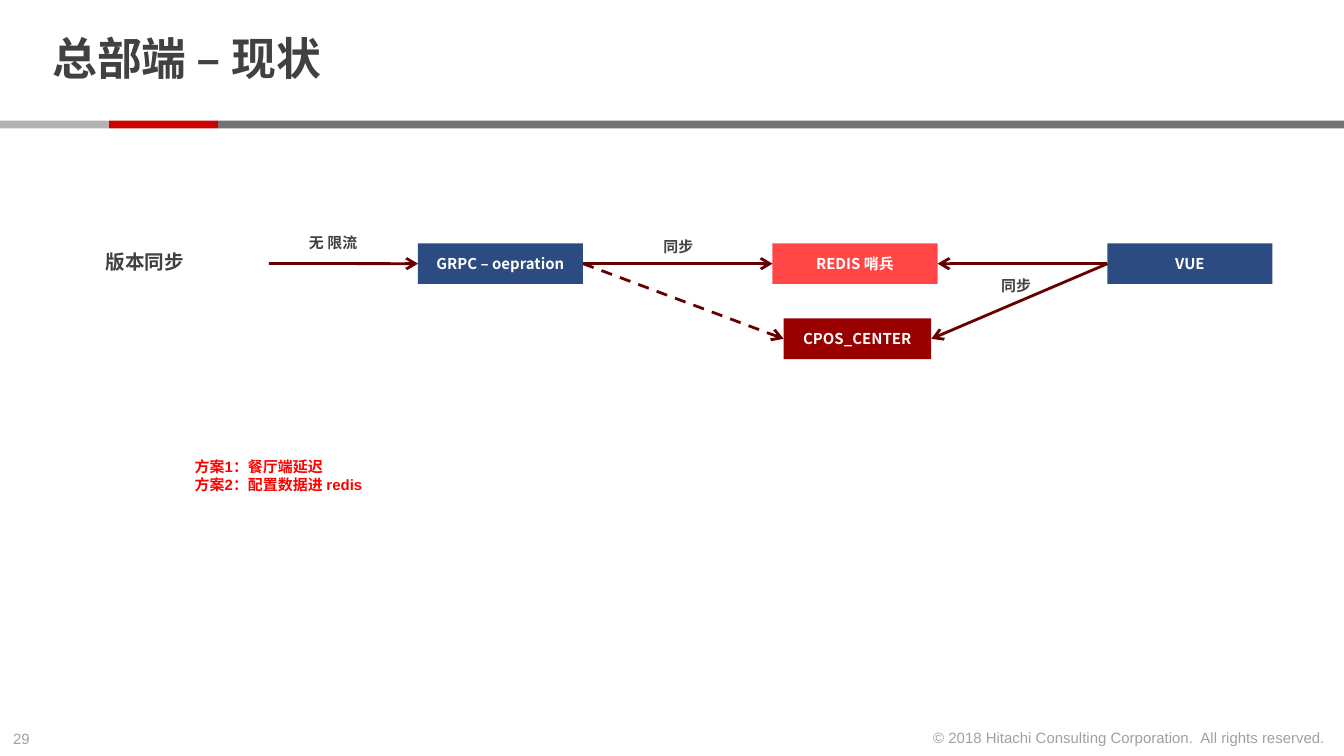
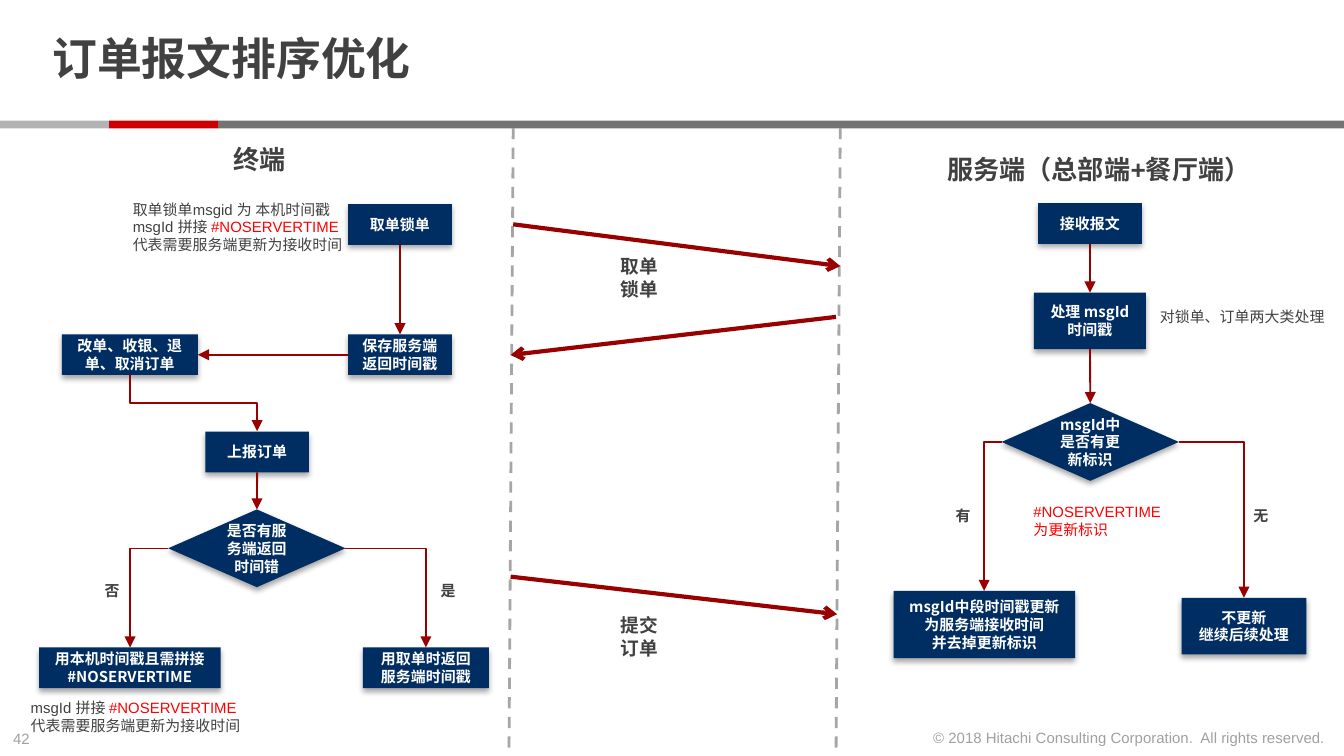
"""Build two slides: the head office sync flow and the order message sorting flow."""
from lxml.etree import SubElement
from pptx import Presentation
from pptx.dml.color import RGBColor
from pptx.enum.dml import MSO_LINE
from pptx.enum.shapes import MSO_CONNECTOR, MSO_SHAPE
from pptx.enum.text import MSO_ANCHOR, MSO_AUTO_SIZE, PP_ALIGN
from pptx.oxml.ns import qn
from pptx.util import Cm, Pt

DARK, RED, WHITE, PALE = "414141", "FF0000", "FFFFFF", "A0A0A0"
NAVY, BLUE, WINE, BROWN = "002E62", "2C4B80", "990000", "660000"
RECT, GEM = MSO_SHAPE.RECTANGLE, MSO_SHAPE.FLOWCHART_DECISION
hue = RGBColor.from_string


def write(shape, text, size, tint, bold=False, side=PP_ALIGN.LEFT, face="Arial"):
    """Fill a shape with lines of text; what follows a bar in a line is red."""
    frame = shape.text_frame
    frame.word_wrap = True
    for row, line in enumerate(text.split("\n")):
        para = frame.add_paragraph() if row else frame.paragraphs[0]
        para.alignment = side
        font = para.font
        font.name, font.size, font.bold = face, Pt(size), bold
        font.color.rgb = hue(tint)
        for part, words in enumerate(line.split("|")):
            run = para.add_run()
            run.text = words
            if part:
                run.font.color.rgb = hue(RED)


def link(slide, ends, tint, width, tip=None, dash=False, kind=MSO_CONNECTOR.STRAIGHT):
    """Draw a connector between two points, with an arrowhead at its end."""
    line = slide.shapes.add_connector(kind, *[Cm(n) for n in ends])
    line.line.color.rgb = hue(tint)
    line.line.width = Pt(width)
    if dash:
        line.line.dash_style = MSO_LINE.DASH
    props = line._element.spPr
    if tip:
        SubElement(props.find(qn("a:ln")), qn("a:tailEnd"), type=tip)
    SubElement(props, qn("a:effectLst"))
    return line


deck = Presentation()
deck.slide_width, deck.slide_height = Cm(25.4), Cm(14.29)

pages = []
for title, number in (("总部端 – 现状", "29"), ("订单报文排序优化", "42")):
    slide = deck.slides.add_slide(deck.slide_layouts[5])
    pages.append(slide)
    for left, width, tint in (
        (4.12, 21.28, "737373"),
        (2.06, 2.06, "CC0000"),
        (0, 2.06, "B3B3B3"),
    ):
        band = slide.shapes.add_shape(RECT, Cm(left), Cm(2.28), Cm(width), Cm(0.15))
        band.shadow.inherit = False
        band.fill.solid()
        band.fill.fore_color.rgb = hue(tint)
        band.line.fill.background()
    foot = slide.shapes.add_textbox(Cm(17.27), Cm(13.64), Cm(8.03), Cm(0.61))
    write(foot, "© 2018 Hitachi Consulting Corporation.\u00a0 All rights reserved.".replace("\u00a0", " "),
          8, PALE, side=PP_ALIGN.RIGHT)
    count = slide.shapes.add_textbox(Cm(0), Cm(13.66), Cm(0.9), Cm(0.61))
    write(count, number, 8, PALE)
    head = slide.shapes.title
    head.left, head.top, head.width, head.height = Cm(0.74), Cm(0.15), Cm(19.58), Cm(2.03)
    write(head, title, 24, DARK, True)
    frame = head.text_frame
    frame.auto_size = MSO_AUTO_SIZE.NONE
    frame.vertical_anchor = MSO_ANCHOR.MIDDLE
    frame.margin_left = frame.margin_right = Cm(0.25)
    frame.margin_top = frame.margin_bottom = 0
    frame.paragraphs[0].line_spacing = 0.85

sync, sort = pages

for left in (9.7, 15.88):
    link(sort, (left, 2.42, left - 0.08, 14.29), "A6A6A6", 1.5, dash=True)

boxes = {}
for name, slide, form, left, top, width, height, tint, text in (
    ("grpc", sync, RECT, 7.9, 4.6, 3.12, 0.77, BLUE, "GRPC – oepration"),
    ("cpos", sync, RECT, 14.81, 6.02, 2.79, 0.77, WINE, "CPOS_CENTER"),
    ("redis", sync, RECT, 14.6, 4.6, 3.12, 0.77, "FF4747", "REDIS 哨兵"),
    ("vue", sync, RECT, 20.93, 4.6, 3.12, 0.77, BLUE, "VUE"),
    ("lock", sort, RECT, 6.58, 3.86, 1.96, 0.77, NAVY, "取单锁单"),
    ("save", sort, RECT, 6.58, 6.32, 1.96, 0.77, NAVY, "保存服务端返回时间戳"),
    ("change", sort, RECT, 1.17, 6.32, 2.57, 0.77, NAVY, "改单、收银、退单、取消订单"),
    ("report", sort, RECT, 3.88, 8.16, 1.96, 0.77, NAVY, "上报订单"),
    ("check", sort, GEM, 3.18, 9.63, 3.35, 1.47, NAVY, "是否有服务端返回时间错"),
    ("local", sort, RECT, 0.74, 12.24, 3.43, 0.77, NAVY, "用本机时间戳且需拼接#NOSERVERTIME"),
    ("server", sort, RECT, 6.86, 12.24, 2.38, 0.77, NAVY, "用取单时返回\n服务端时间戳"),
    ("receive", sort, RECT, 19.62, 3.84, 1.96, 0.77, NAVY, "接收报文"),
    ("handle", sort, RECT, 19.54, 5.53, 2.12, 1.07, NAVY, "处理 msgId时间戳"),
    ("flag", sort, GEM, 18.93, 7.62, 3.35, 1.47, NAVY, "msgId中是否有更新标识"),
    ("update", sort, RECT, 16.89, 11.17, 3.43, 1.27, NAVY,
     "msgId中段时间戳更新为服务端接收时间\n并去掉更新标识"),
    ("skip", sort, RECT, 22.33, 11.3, 2.36, 1.07, NAVY, "不更新\n继续后续处理"),
):
    box = slide.shapes.add_shape(form, Cm(left), Cm(top), Cm(width), Cm(height))
    box.shadow.inherit = False
    box.fill.solid()
    box.fill.fore_color.rgb = hue(tint)
    box.line.fill.background()
    box.text_frame.vertical_anchor = MSO_ANCHOR.MIDDLE
    write(box, text, 8, WHITE, True, PP_ALIGN.CENTER, "Noto Sans CJK SC")
    if slide is sort:
        glow = SubElement(box._element.spPr.find(qn("a:effectLst")), qn("a:outerShdw"),
                          blurRad=str(Pt(3.1)), dist=str(Pt(1.8)), dir="5400000", rotWithShape="0")
        shade = SubElement(glow, qn("a:srgbClr"), val="000000")
        SubElement(shade, qn("a:alpha"), val="35000")
    boxes[name] = box

for slide, start, out, stop, into, tint, width, tip, dash in (
    (sync, "vue", 1, "redis", 3, BROWN, 1.5, "arrow", False),
    (sync, "vue", 1, "cpos", 3, BROWN, 1.5, "arrow", False),
    (sync, "grpc", 3, "redis", 1, BROWN, 1.5, "arrow", False),
    (sync, "grpc", 3, "cpos", 1, BROWN, 1.5, "arrow", True),
    (sort, "lock", 2, "save", 0, WINE, 1, "triangle", False),
    (sort, "save", 1, "change", 3, WINE, 1, "triangle", False),
    (sort, "report", 2, "check", 0, WINE, 1, "triangle", False),
    (sort, "receive", 2, "handle", 0, WINE, 1, "triangle", False),
    (sort, "handle", 2, "flag", 0, WINE, 1, "triangle", False),
):
    line = link(slide, (0, 0, 0, 0), tint, width, tip, dash)
    line.begin_connect(boxes[start], out)
    line.end_connect(boxes[stop], into)

entry = link(sync, (5.08, 4.98, 7.9, 4.98), BROWN, 1.5, "arrow")
entry.end_connect(boxes["grpc"], 1)

for ends in (
    (9.7, 4.24, 15.88, 5.03),
    (15.8, 5.99, 9.65, 6.71),
    (9.65, 10.9, 15.82, 11.61),
):
    link(sort, ends, WINE, 2.25, "arrow")

for ends in (
    (3.18, 10.37, 2.46, 12.24),
    (6.53, 10.37, 8.05, 12.24),
    (18.93, 8.36, 18.6, 11.17),
    (22.28, 8.36, 23.51, 11.3),
):
    bend = link(sort, ends, WINE, 1, "triangle", kind=MSO_CONNECTOR.ELBOW)
    bend._element.spPr.find(qn("a:prstGeom")).set("prst", "bentConnector2")

step = link(sort, (4.19, 6.42, 3.13, 8.82), WINE, 1, "triangle", kind=MSO_CONNECTOR.ELBOW)
step._element.spPr.find(qn("a:xfrm")).set("rot", "16200000")

for slide, left, top, width, height, text, size, tint, bold in (
    (sync, 18.67, 5.11, 1.15, 0.61, "同步", 8, DARK, True),
    (sync, 12.29, 4.37, 1.15, 0.61, "同步", 8, DARK, True),
    (sync, 1.75, 4.6, 2.1, 0.71, "版本同步", 10.5, DARK, True),
    (sync, 5.59, 4.29, 1.55, 0.61, "无 限流", 8, DARK, True),
    (sync, 3.43, 8.53, 19, 0.94, "方案1：餐厅端延迟\n方案2：配置数据进 redis", 8, RED, True),
    (sort, 4.17, 2.59, 1.85, 0.86, "终端", 14, DARK, True),
    (sort, 17.65, 2.77, 6.48, 0.86, "服务端（总部端+餐厅端）", 14, DARK, True),
    (sort, 2.26, 3.66, 4.6, 1.27,
     "取单锁单msgid 为 本机时间戳\nmsgId 拼接 |#NOSERVERTIME\n代表需要服务端更新为接收时间", 8, DARK, False),
    (sort, 11.48, 4.7, 1.27, 1.12, "取单\n锁单", 10, DARK, True),
    (sort, 11.48, 11.48, 1.27, 1.12, "提交\n订单", 10, DARK, True),
    (sort, 1.73, 10.87, 1.07, 0.61, "否", 8, DARK, True),
    (sort, 8.08, 10.87, 1.07, 0.61, "是", 8, DARK, True),
    (sort, 0.33, 13.08, 4.6, 0.94,
     "msgId 拼接 |#NOSERVERTIME\n代表需要服务端更新为接收时间", 8, DARK, False),
    (sort, 21.67, 5.69, 4.6, 0.61, "对锁单、订单两大类处理", 8, DARK, False),
    (sort, 19.28, 9.37, 3.05, 0.94, "#NOSERVERTIME\n为更新标识", 8, RED, False),
    (sort, 17.81, 9.45, 1.07, 0.61, "有", 8, DARK, True),
    (sort, 23.44, 9.45, 1.07, 0.61, "无", 8, DARK, True),
):
    label = slide.shapes.add_textbox(Cm(left), Cm(top), Cm(width), Cm(height))
    write(label, text, size, tint, bold)

deck.save("out.pptx")
